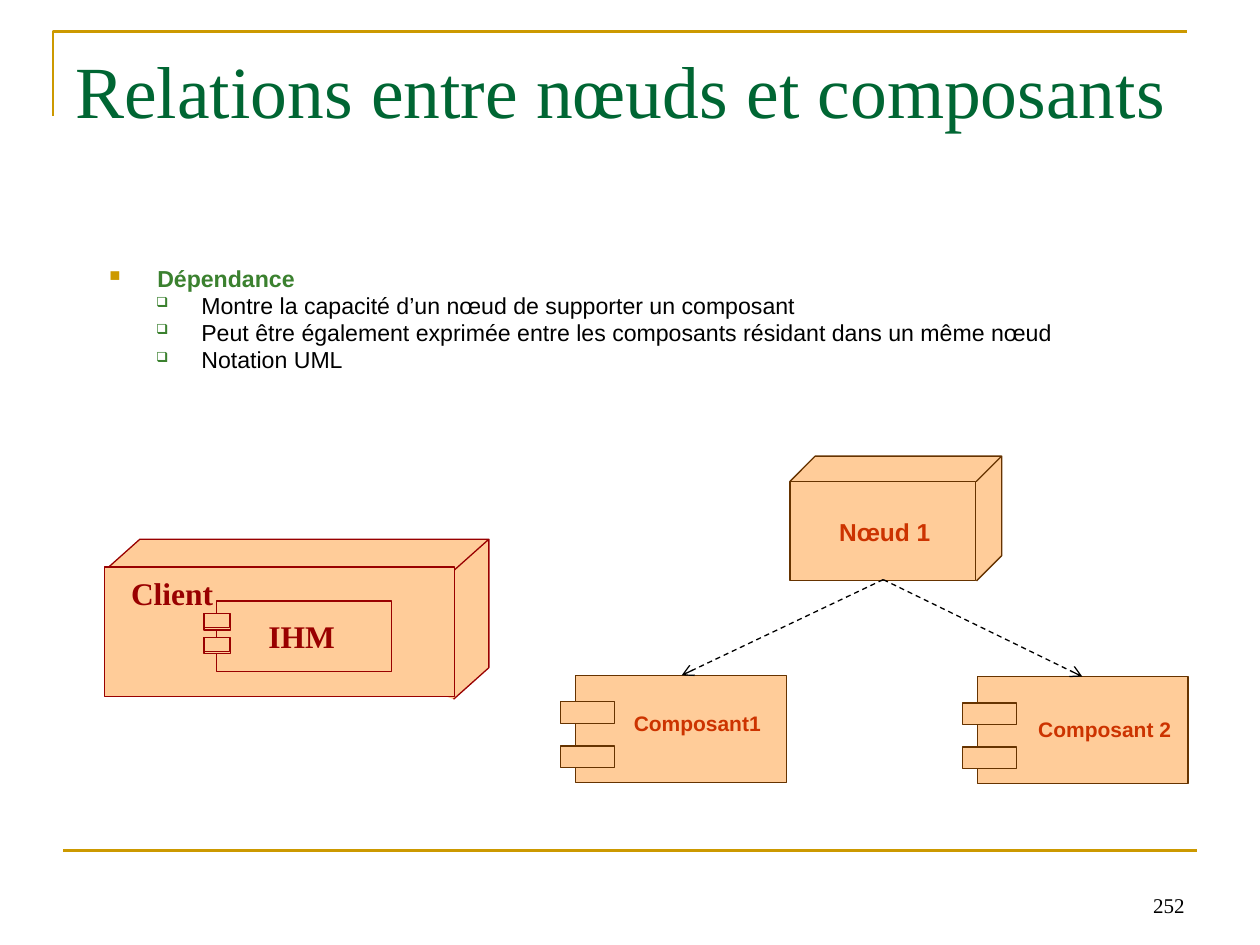
from lxml.etree import SubElement
from pptx import Presentation
from pptx.dml.color import RGBColor
from pptx.enum.dml import MSO_LINE
from pptx.enum.shapes import MSO_CONNECTOR, MSO_SHAPE
from pptx.enum.text import MSO_ANCHOR, MSO_AUTO_SIZE, PP_ALIGN
from pptx.oxml.ns import qn
from pptx.util import Inches, Pt

GOLD = RGBColor(0xCC, 0x99, 0x00)
DARK_GREEN = RGBColor(0x00, 0x66, 0x33)
GREEN = RGBColor(0x3B, 0x81, 0x2F)
PEACH = RGBColor(0xFF, 0xCC, 0x99)
BROWN = RGBColor(0x66, 0x33, 0x00)
ORANGE = RGBColor(0xCC, 0x33, 0x00)
RED = RGBColor(0x99, 0x00, 0x00)
BLACK = RGBColor(0x00, 0x00, 0x00)
SERIF, SANS = "Times New Roman", "Arial"


def style_font(font, name, size, color, bold=False):
    """Apply typeface, size, colour and weight."""
    font.name, font.size, font.bold = name, Pt(size), bold
    font.color.rgb = color


def add_text(slide, box, text, name, size, color, bold=False, wrap=True):
    """Add a one-paragraph text box; unwrapped labels fit their text."""
    shape = slide.shapes.add_textbox(*map(Inches, box))
    frame = shape.text_frame
    frame.text = text
    frame.word_wrap = wrap
    if not wrap:
        frame.auto_size = MSO_AUTO_SIZE.SHAPE_TO_FIT_TEXT
        frame.margin_left = frame.margin_right = 0
        frame.margin_top = frame.margin_bottom = 0
    style_font(frame.paragraphs[0].runs[0].font, name, size, color, bold)
    return shape


def add_box(slide, box, color, width=0):
    """Add a peach rectangle with a thin outline."""
    shape = slide.shapes.add_shape(MSO_SHAPE.RECTANGLE, *map(Inches, box))
    shape.shadow.inherit = False
    shape.fill.solid()
    shape.fill.fore_color.rgb = PEACH
    shape.line.color.rgb = color
    shape.line.width = Pt(width)


def add_path(slide, points, color, width=0, fill=None):
    """Add an open outline through the points."""
    corners = [(Inches(x), Inches(y)) for x, y in points]
    builder = slide.shapes.build_freeform(*corners[0])
    builder.add_line_segments(corners[1:], close=False)
    shape = builder.convert_to_shape()
    shape.shadow.inherit = False
    if fill is None:
        shape.fill.background()
    else:
        shape.fill.solid()
        shape.fill.fore_color.rgb = fill
    shape.line.color.rgb = color
    shape.line.width = Pt(width)


def add_line(slide, start, end, color, width):
    """Add a straight connector without shadow."""
    line = slide.shapes.add_connector(
        MSO_CONNECTOR.STRAIGHT, *map(Inches, start + end))
    line.line.color.rgb = color
    line.line.width = Pt(width)
    SubElement(line._element.spPr, qn("a:effectLst"))
    return line


def add_dependency(slide, start, end):
    """Add a dashed dependency arrow."""
    arrow = add_line(slide, start, end, BLACK, 0.75)
    arrow.line.dash_style = MSO_LINE.DASH
    SubElement(arrow.line._get_or_add_ln(), qn("a:tailEnd"), type="arrow")


def add_node(slide, bounds, depth, front, color):
    """Add a UML node: a front face over its top and side faces."""
    left, top, right, bottom = bounds
    across, down = depth
    corner, inner = (right, top), (right - across, top + down)
    add_path(slide, [(left, top + down), (left + across, top), corner, inner,
                     corner, (right, bottom - down), (right - across, bottom)],
             color, fill=PEACH)
    add_box(slide, front, color)


def add_component(slide, left, top, text, label_box):
    """Add a UML component with two tabs and a label."""
    add_box(slide, (left, top, 1.67, 0.85), BROWN)
    for offset in (0.21, 0.56):
        add_box(slide, (left - 0.12, top + offset, 0.43, 0.17), BROWN)
    add_text(slide, label_box, text, SANS, 12, ORANGE, True, wrap=False)


def add_bullets(slide, box, items):
    """Add the heading and its bulleted points."""
    frame = slide.shapes.add_textbox(*map(Inches, box)).text_frame
    frame.word_wrap = True
    for index, (level, text) in enumerate(items):
        paragraph = frame.add_paragraph() if index else frame.paragraphs[0]
        paragraph.text = text
        paragraph.level = level
        mark, color, size, margin, indent = (
            ("❑", GREEN, 60, 0.73, -0.36) if level
            else ("■", GOLD, 65, 0.38, -0.38))
        properties = paragraph._p.get_or_add_pPr()
        properties.set("marL", str(Inches(margin)))
        properties.set("indent", str(Inches(indent)))
        bullet_color = SubElement(properties, qn("a:buClr"))
        SubElement(bullet_color, qn("a:srgbClr"), val=str(color))
        SubElement(properties, qn("a:buSzPct"), val=str(size * 1000))
        SubElement(properties, qn("a:buChar"), char=mark)
        paragraph.line_spacing = 0.7
        if index:
            paragraph.space_before = Pt(4.4)
        style_font(paragraph.runs[0].font, SANS, 13.2,
                   BLACK if level else GREEN, not level)


def add_client(slide):
    """Add the client node that holds the IHM component."""
    add_node(slide, (0.83, 4.28, 3.88, 5.55), (0.28, 0.25),
             (0.83, 4.5, 2.78, 1.03), RED)
    add_text(slide, (1.04, 4.56, 0.7, 0.3), "Client", SERIF, 18, RED, True,
             wrap=False)
    add_box(slide, (1.72, 4.77, 1.39, 0.56), RED)
    for top in (4.87, 5.06):
        add_box(slide, (1.62, top, 0.21, 0.13), RED, 0.75)
        add_box(slide, (1.62, top, 0.2, 0.11), RED)
    add_text(slide, (2.13, 4.9, 0.53, 0.3), "IHM", SERIF, 18, RED, True,
             wrap=False)


def main():
    """Build the slide and save it."""
    presentation = Presentation()
    presentation.slide_width, presentation.slide_height = Inches(10), Inches(7.5)
    slide = presentation.slides.add_slide(presentation.slide_layouts[6])

    add_path(slide, [(0.42, 0.92), (0.42, 0.25), (9.42, 0.25)], GOLD, 1.5)
    add_line(slide, (0.5, 6.75), (9.5, 6.75), GOLD, 1.5)
    number = add_text(slide, (7.17, 6.83, 2.33, 0.5), "252", SERIF, 12, BLACK)
    number.text_frame.vertical_anchor = MSO_ANCHOR.BOTTOM
    number.text_frame.paragraphs[0].alignment = PP_ALIGN.RIGHT
    add_text(slide, (0.5, 0.31, 9, 1.25), "Relations entre nœuds et composants",
             SERIF, 42, DARK_GREEN)
    add_bullets(slide, (0.77, 2.11, 8.54, 0.92), [
        (0, "Dépendance"),
        (1, "Montre la capacité d’un nœud de supporter un composant"),
        (1, "Peut être également exprimée entre les composants résidant "
            "dans un même nœud"),
        (1, "Notation UML"),
    ])

    add_node(slide, (6.27, 3.62, 7.95, 4.61), (0.2, 0.2),
             (6.27, 3.82, 1.47, 0.79), BROWN)
    add_text(slide, (6.66, 4.1, 0.73, 0.23), "Nœud 1", SANS, 14, ORANGE, True,
             wrap=False)
    add_component(slide, 7.76, 5.37, "Composant 2", (8.24, 5.69, 1.06, 0.2))
    add_component(slide, 4.57, 5.36, "Composant1", (5.03, 5.64, 1.01, 0.2))
    for end in ((5.41, 5.36), (8.59, 5.37)):
        add_dependency(slide, (7.01, 4.6), end)
    add_client(slide)
    presentation.save("out.pptx")


if __name__ == "__main__":
    main()
